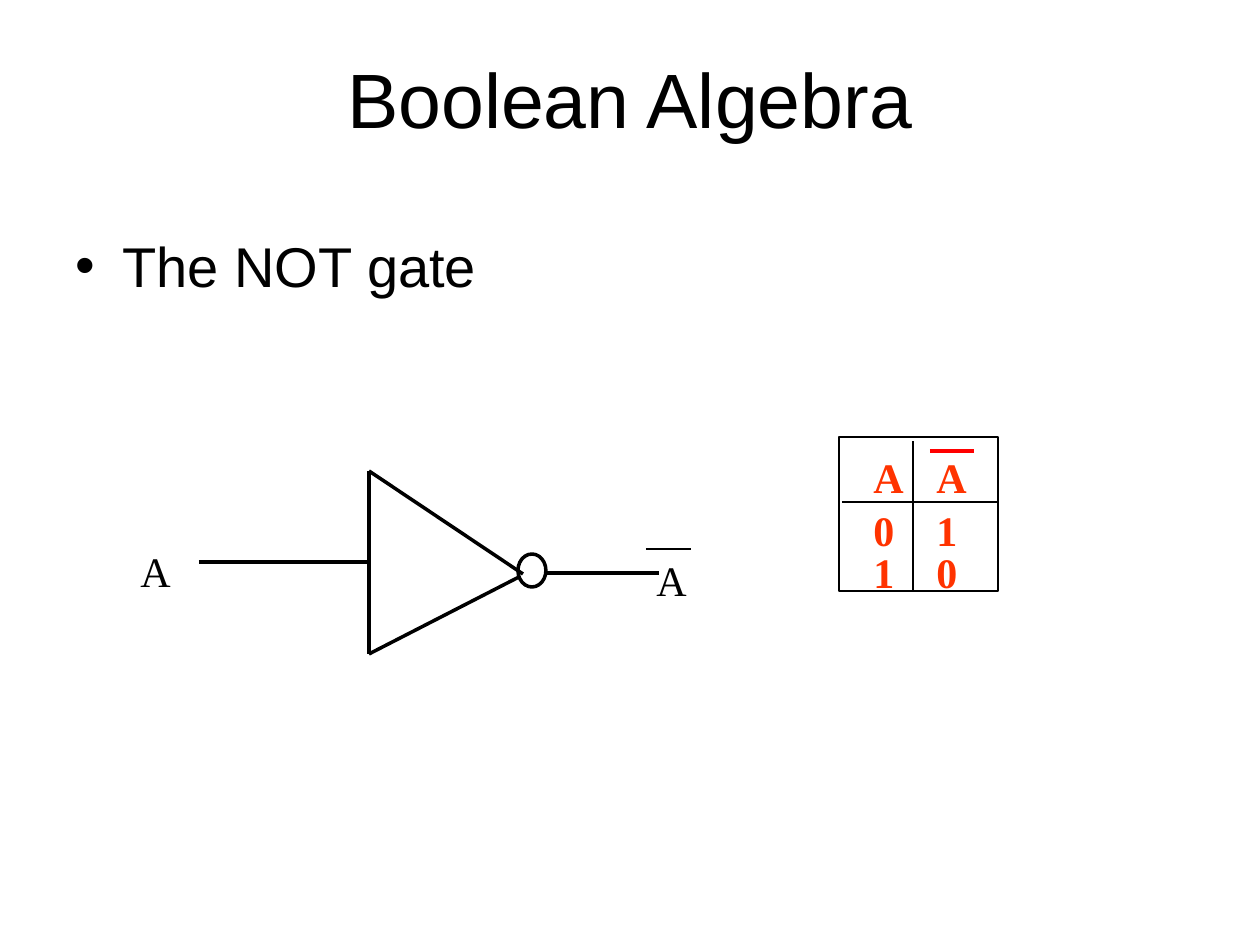
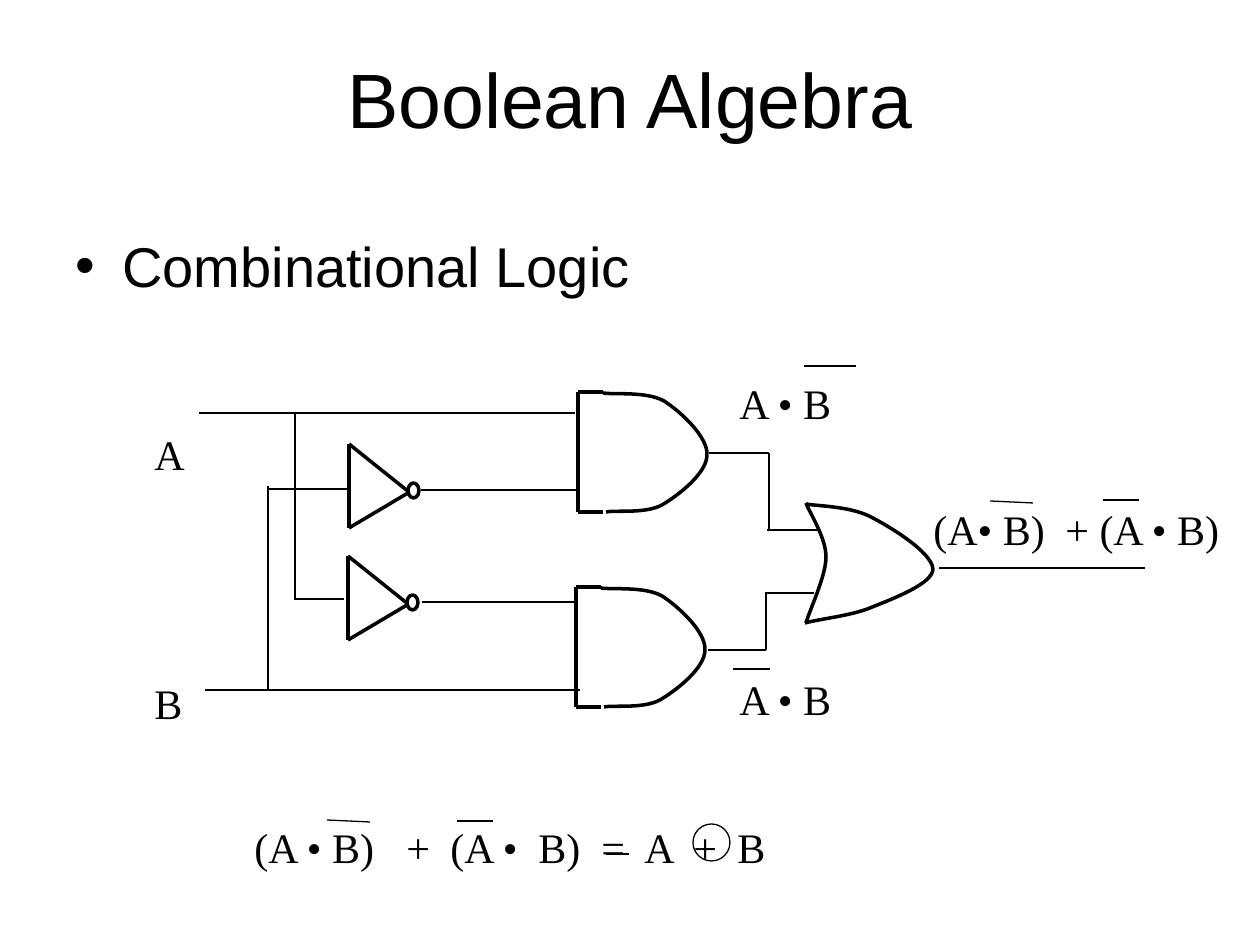
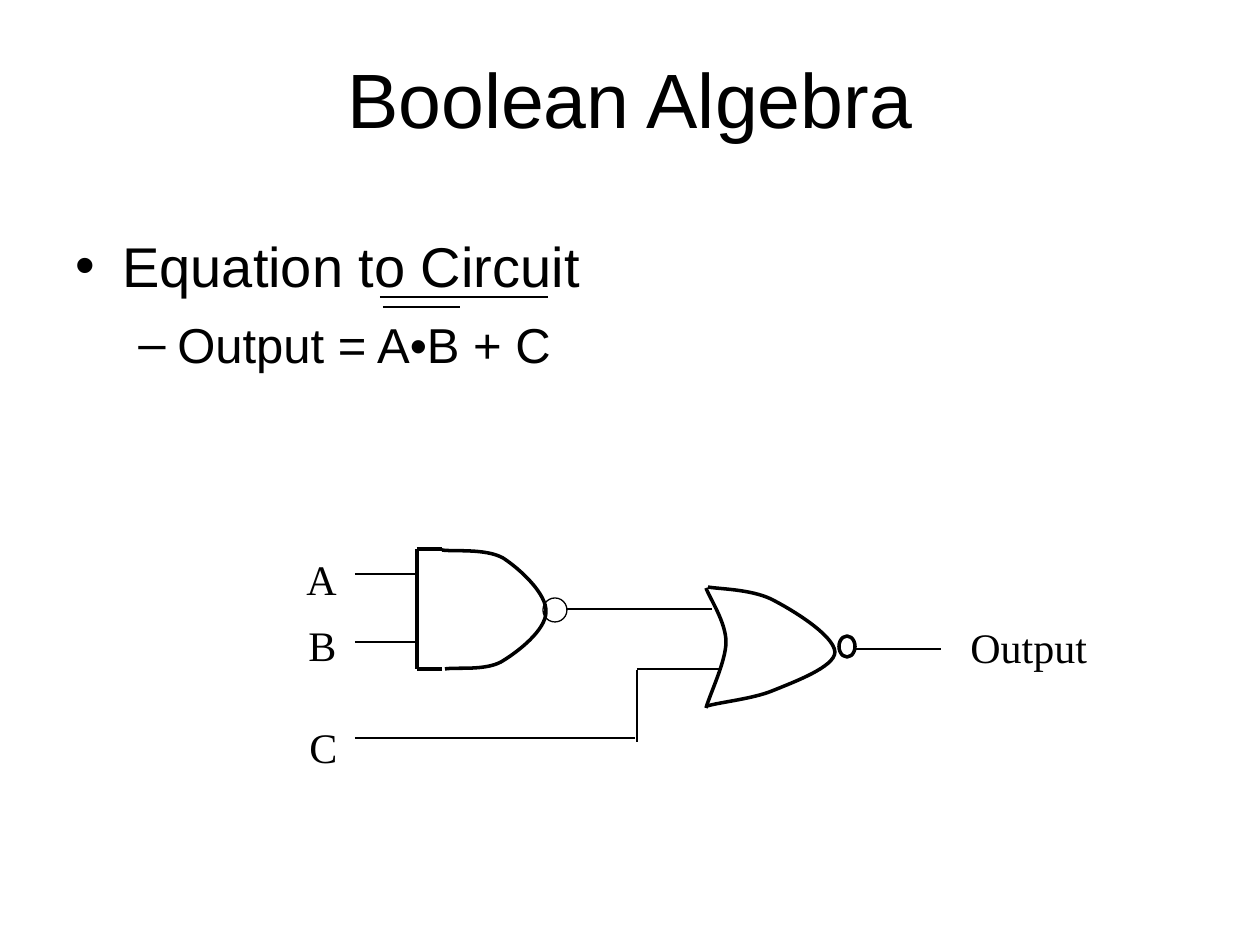
from dataclasses import dataclass
from typing import Sequence

from lxml.etree import SubElement as Sub
from pptx import Presentation
from pptx.dml.color import RGBColor
from pptx.enum.shapes import MSO_CONNECTOR as Conn, MSO_SHAPE as Geo
from pptx.enum.text import MSO_ANCHOR as Anchor, PP_ALIGN as Align
from pptx.oxml.ns import qn
from pptx.util import Emu, Pt

SCALE = 914400 / 126
BLACK, RED, ORANGE = "000000", "FF0000", "FF3300"
THIN, BOLD = 0.75, 2
SANS, SERIF = "Arial", "Times New Roman"
TITLE = {"name": SANS, "size": Pt(44)}
HEAD = {"name": SANS, "size": Pt(32)}
SUB = {"name": SANS, "size": Pt(28)}
LABEL = {"name": SERIF, "size": Pt(24)}
CELL = {**LABEL, "bold": True}

AND_ARC = [(25, 1), (35, 3), (68, -1), (86, 9), (103, 20), (130, 45), (129, 63),
           (129, 81), (101, 103), (84, 113), (67, 122), (39, 118), (28, 120)]
OR_BACK = [(0, 0), (3, 9), (20, 34), (20, 54), (20, 73), (4, 106), (0, 120)]
OR_FRONT = [(0, 1), (10, 3), (42, 3), (63, 13), (83, 23), (126, 49), (127, 66),
            (127, 81), (86, 96), (64, 105), (44, 113), (13, 116), (-1, 120)]


@dataclass
class Wire:
    x1: int
    y1: int
    x2: int
    y2: int
    width: float = THIN
    color: str = BLACK


@dataclass
class Label:
    text: str
    x: int
    y: int
    w: int = 80
    color: str = BLACK
    tabs: Sequence[int] = ()


@dataclass
class Inverter:
    """A triangle with its tip and a bubble, measured from the top left corner."""
    height: int
    upper: tuple
    lower: tuple
    bubble: tuple


BIG = Inverter(183, (154, 103), (150, 106), (149, 83, 28, 33))
SMALL = Inverter(84, (60, 48), (59, 49), (59, 39, 11, 15))


def px(n: float) -> Emu:
    return Emu(round(n * SCALE))


def rgb(color: str) -> RGBColor:
    return RGBColor.from_string(color)


def stroke(shape, width: float, color: str = BLACK) -> None:
    shape.line.width = Pt(width)
    shape.line.color.rgb = rgb(color)


def write(para, text: str, style: dict, color: str = BLACK) -> None:
    run = para.add_run()
    run.text = text
    for key, value in style.items():
        setattr(run.font, key, value)
    run.font.color.rgb = rgb(color)


def frame(slide, x: int, y: int, w: int, h: int, top: int = 11):
    box = slide.shapes.add_textbox(px(x), px(y), px(w), px(h)).text_frame
    looks = {"word_wrap": True, "vertical_anchor": Anchor.TOP, "margin_top": px(top)}
    for key, value in looks.items():
        setattr(box, key, value)
    return box


def bullet(para, char: str, left: int, hang: int) -> None:
    props = para._p.get_or_add_pPr()
    props.set("marL", str(px(left)))
    props.set("indent", str(px(-hang)))
    Sub(props, qn("a:buFont"), typeface=SANS)
    Sub(props, qn("a:buChar"), char=char)


def label(slide, item: Label, style: dict = LABEL) -> None:
    para = frame(slide, item.x, item.y, item.w, 63).paragraphs[0]
    if item.tabs:
        stops = Sub(para._p.get_or_add_pPr(), qn("a:tabLst"))
        for stop in item.tabs:
            Sub(stops, qn("a:tab"), pos=str(px(stop)), algn="l")
    write(para, item.text, style, item.color)


def wire(slide, item: Wire) -> None:
    ends = map(px, (item.x1, item.y1, item.x2, item.y2))
    line = slide.shapes.add_connector(Conn.STRAIGHT, *ends)
    stroke(line, item.width, item.color)
    Sub(line._element.spPr, qn("a:effectLst"))


def wires(slide, rows: Sequence[tuple]) -> None:
    for row in rows:
        wire(slide, Wire(*row))


def outline(slide, geo, x: int, y: int, w: int, h: int, width: float = THIN) -> None:
    shape = slide.shapes.add_shape(geo, px(x), px(y), px(w), px(h))
    shape.shadow.inherit = False
    shape.fill.background()
    stroke(shape, width)


def curve(slide, x: int, y: int, points: Sequence[tuple]) -> None:
    """Draw a chain of cubic curves: a start, then three points for each curve."""
    start, *rest = [(x + dx, y + dy) for dx, dy in points]
    pen = slide.shapes.build_freeform(*start, scale=SCALE)
    pen.add_line_segments(rest, close=False)
    shape = pen.convert_to_shape()
    shape.shadow.inherit = False
    shape.fill.background()
    stroke(shape, BOLD)
    steps = list(shape._element.iter(qn("a:lnTo")))
    for first, *others in zip(steps[::3], steps[1::3], steps[2::3]):
        first.tag = qn("a:cubicBezTo")
        for step in others:
            first.append(step[0])
            step.getparent().remove(step)


def and_gate(slide, x: int, y: int) -> None:
    wires(slide, [(x, y, x, y + 120, BOLD),
                  (x, y, x + 25, y, BOLD),
                  (x, y + 120, x + 25, y + 120, BOLD)])
    curve(slide, x, y, AND_ARC)


def or_gate(slide, x: int, y: int, dx: int = 0, dy: int = 0) -> None:
    """Draw the gate with its front moved by dx, dy from its back."""
    curve(slide, x, y, OR_BACK)
    curve(slide, x + dx, y + dy, OR_FRONT)


def not_gate(slide, x: int, y: int, kind: Inverter) -> None:
    base = y + kind.height
    wires(slide, [(x, base, x + kind.lower[0], y + kind.lower[1], BOLD),
                  (x, y, x, base, BOLD),
                  (x, y, x + kind.upper[0], y + kind.upper[1], BOLD)])
    left, top, w, h = kind.bubble
    outline(slide, Geo.OVAL, x + left, y + top, w, h, BOLD)


def page(deck, head: str, sub: str = ""):
    slide = deck.slides.add_slide(deck.slide_layouts[6])
    title = frame(slide, 63, 38, 1134, 130, top=14).paragraphs[0]
    title.alignment = Align.CENTER
    write(title, "Boolean Algebra", TITLE)
    body = frame(slide, 63, 220, 1134, 624)
    bullet(body.paragraphs[0], "•", 47, 47)
    write(body.paragraphs[0], head, HEAD)
    if sub:
        para = body.add_paragraph()
        bullet(para, "–", 102, 39)
        para.space_before = Pt(9)
        write(para, sub, SUB)
    return slide


def truth(slide) -> None:
    outline(slide, Geo.RECTANGLE, 839, 437, 159, 154)
    for y, row in zip((441, 494, 536), ("AA", "01", "10")):
        for x, text in zip((861, 924), row):
            label(slide, Label(text, x, y, 63, ORANGE), CELL)
    wires(slide, [(913, 441, 913, 590), (842, 502, 999, 502),
                  (930, 451, 974, 451, BOLD, RED)])


def negation(deck) -> None:
    slide = page(deck, "The NOT gate")
    label(slide, Label("A", 644, 544, 126))
    label(slide, Label("A", 128, 535, 179))
    truth(slide)
    wires(slide, [(199, 562, 370, 562, BOLD), (544, 573, 659, 573, BOLD),
                  (646, 549, 691, 549)])
    not_gate(slide, 369, 471, BIG)


def combined(deck) -> None:
    slide = page(deck, "Combinational Logic")
    for item in (
        Label("(A• B)\t+ (A • B)", 921, 493, 339, tabs=[132]),
        Label("A • B", 727, 367, 161),
        Label("A • B", 727, 663, 161),
        Label("A", 142, 418),
        Label("B", 142, 667),
        Label("(A • B)\t+\t(A •\tB)\t=\tA\t+\tB", 242, 811, 658,
              tabs=[152, 196, 284, 347, 390, 439, 483]),
    ):
        label(slide, item)
    not_gate(slide, 349, 444, SMALL)
    not_gate(slide, 348, 556, SMALL)
    and_gate(slide, 578, 392)
    and_gate(slide, 576, 587)
    or_gate(slide, 806, 503)
    outline(slide, Geo.OVAL, 693, 824, 37, 37)
    inputs = [(199, 413, 575, 413), (295, 599, 295, 413), (294, 599, 344, 599),
              (205, 690, 580, 690), (268, 690, 268, 486), (269, 489, 349, 489)]
    inner = [(421, 490, 578, 490), (422, 602, 578, 602),
             (709, 453, 769, 453), (769, 530, 769, 453), (767, 530, 819, 530),
             (708, 650, 766, 650), (766, 593, 766, 650), (765, 593, 814, 593),
             (939, 568, 1145, 568)]
    bars = [(990, 501, 1033, 503), (1103, 500, 1139, 500), (804, 366, 856, 366),
            (733, 669, 770, 669), (327, 820, 370, 822), (457, 821, 493, 821),
            (606, 854, 629, 854)]
    wires(slide, inputs + inner + bars)


def equation(deck) -> None:
    slide = page(deck, "Equation to Circuit", "Output = A•B + C")
    for item in (Label("A", 294, 543), Label("B", 296, 609),
                 Label("C", 297, 711), Label("Output", 958, 611, 149)):
        label(slide, item)
    and_gate(slide, 417, 549)
    outline(slide, Geo.OVAL, 543, 598, 24, 24)
    or_gate(slide, 706, 588, 2, -2)
    outline(slide, Geo.OVAL, 839, 636, 16, 21, BOLD)
    wires(slide, [(380, 297, 548, 297), (383, 307, 460, 307),
                  (355, 574, 415, 574), (355, 642, 415, 642),
                  (566, 609, 712, 609), (355, 738, 635, 738),
                  (637, 742, 637, 670), (637, 669, 721, 669),
                  (855, 649, 941, 649)])


def main() -> None:
    deck = Presentation()
    deck.slide_width, deck.slide_height = px(1260), px(945)
    for build in (negation, combined, equation):
        build(deck)
    deck.save("out.pptx")


if __name__ == "__main__":
    main()
